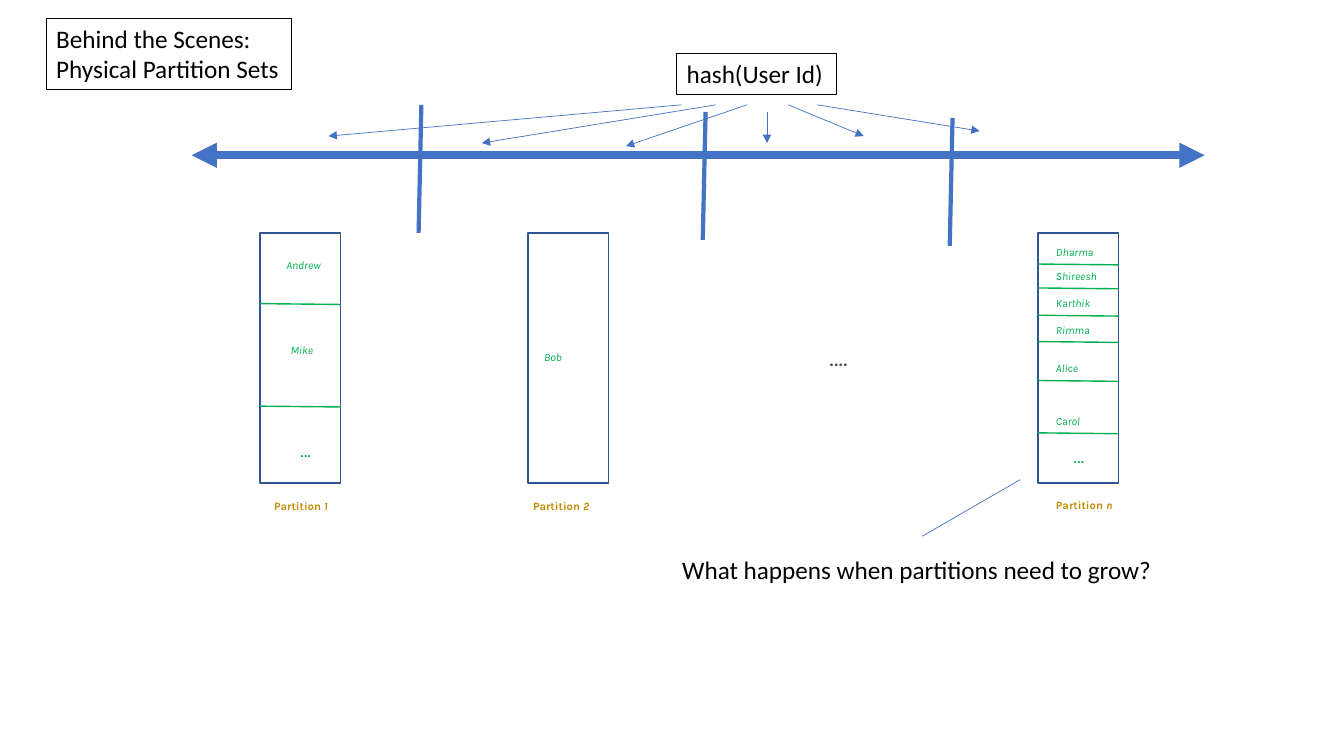
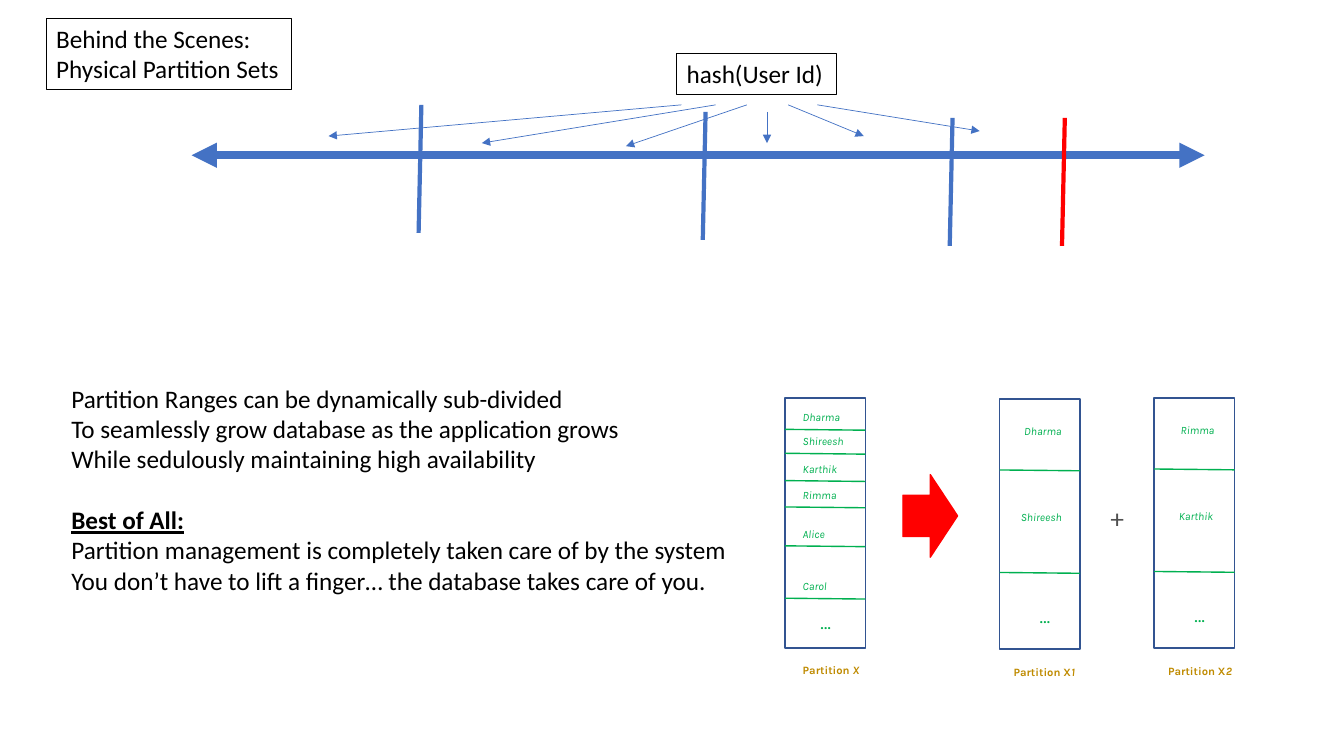
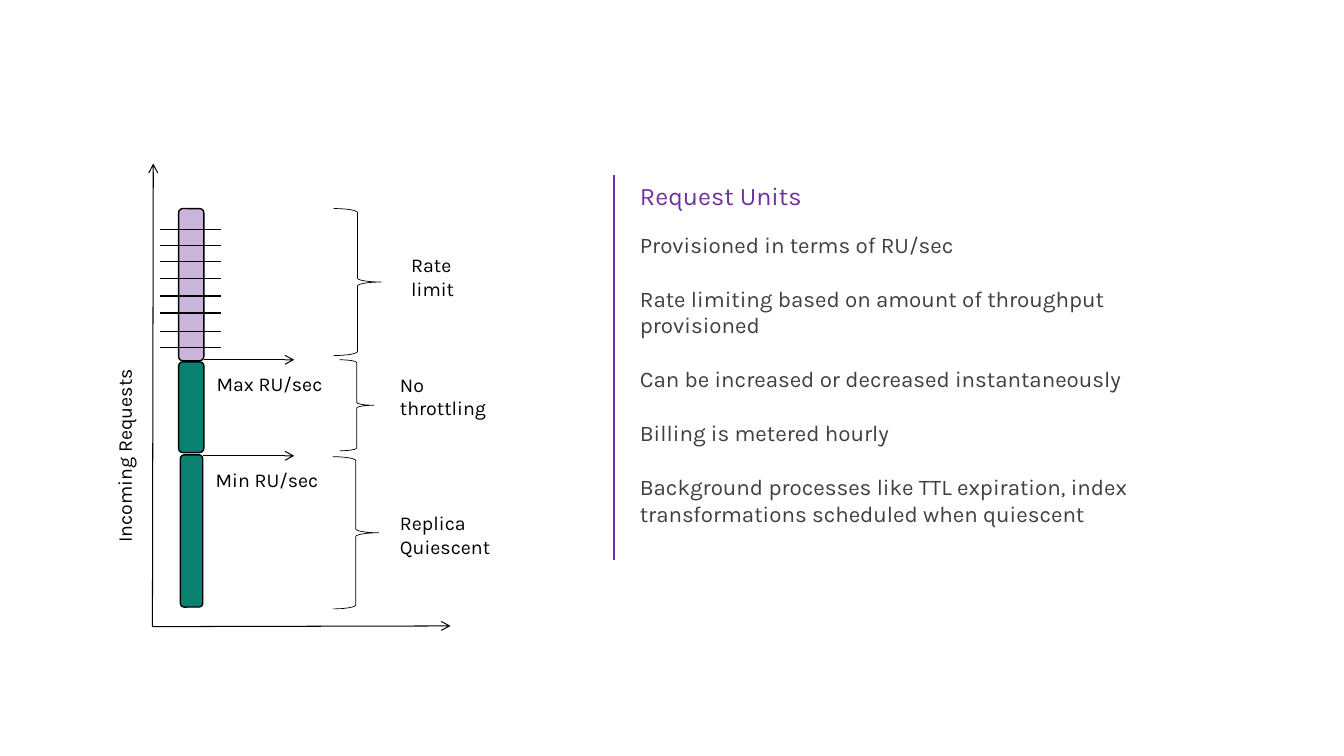
from lxml import etree
from pptx import Presentation
from pptx.dml.color import RGBColor
from pptx.enum.shapes import MSO_CONNECTOR, MSO_SHAPE
from pptx.enum.text import MSO_ANCHOR, PP_ALIGN
from pptx.oxml.ns import qn
from pptx.util import Pt

STRAIGHT = MSO_CONNECTOR.STRAIGHT
RECTANGLE = MSO_SHAPE.RECTANGLE
ROUNDED = MSO_SHAPE.ROUNDED_RECTANGLE
RIGHT_ARROW = MSO_SHAPE.RIGHT_ARROW
RIGHT_BRACE = MSO_SHAPE.RIGHT_BRACE
LEFT = PP_ALIGN.LEFT
CENTER = PP_ALIGN.CENTER
TOP = MSO_ANCHOR.TOP

COLORS = {
    "black": "000000", "white": "FFFFFF", "blue": "4472C4", "navy": "325491",
    "green": "00B050", "gold": "BF8B00", "gray": "505050", "charcoal": "404040",
    "red": "FF0000", "purple": "7030A0", "lilac": "CBB4DC", "teal": "0B8172",
}

STYLES = {
    "body": ("Calibri", 18, "black", False, False, False),
    "emphasis": ("Calibri", 18, "black", True, False, True),
    "symbol": ("Karla", 18, "gray", False, False, False),
    "name": ("Karla", 8, "green", False, True, False),
    "more": ("Karla", 14, "green", False, False, False),
    "label": ("Karla", 8, "gold", True, False, False),
    "index": ("Karla", 8, "gold", True, True, False),
    "heading": ("Karla", 18, "purple", False, False, False),
    "point": ("Karla", 16, "charcoal", False, False, False),
    "chart": ("Karla", 14, "black", False, False, False),
}

COLUMN_WIDTH, COLUMN_HEIGHT = 57.5, 178.6
NAME_WIDTH, NAME_HEIGHT = 64.8, 17.3
WIDE_NAME = 71.3


def color(name):
    return RGBColor.from_string(COLORS[name])


class Deck:
    def __init__(self):
        self.deck = Presentation()
        self.deck.slide_width, self.deck.slide_height = Pt(960), Pt(540)
        self.page = None

    def new_page(self):
        self.page = self.deck.slides.add_slide(self.deck.slide_layouts[6])

    def text(self, area, lines, style, align=LEFT, wrap=True, framed=False, gaps=None, turn=0):
        box = self.page.shapes.add_textbox(*map(Pt, area))
        box.rotation = turn
        if framed:
            box.line.color.rgb = color("black")
            box.line.width = Pt(0.75)
        frame = box.text_frame
        frame.word_wrap = wrap
        frame.vertical_anchor = TOP
        for number, line in enumerate(lines):
            para = frame.add_paragraph() if number else frame.paragraphs[0]
            para.alignment = align
            para.space_before = Pt((gaps or {}).get(number, 0))
            for words, look in [(line, style)] if isinstance(line, str) else line:
                span = para.add_run()
                span.text = words
                font = span.font
                font.name, size, ink, font.bold, font.italic, font.underline = STYLES[look]
                font.size = Pt(size)
                font.color.rgb = color(ink)

    def shape(self, kind, area, fill, ink, width=1):
        shape = self.page.shapes.add_shape(kind, *map(Pt, area))
        shape.shadow.inherit = False
        if fill:
            shape.fill.solid()
            shape.fill.fore_color.rgb = color(fill)
        else:
            shape.fill.background()
        shape.line.color.rgb = color(ink)
        shape.line.width = Pt(width)

    def line(self, start, end, ink, width, head=None, tail=None):
        line = self.page.shapes.add_connector(STRAIGHT, *map(Pt, (*start, *end)))
        line.line.color.rgb = color(ink)
        line.line.width = Pt(width)
        outline = line.line._get_or_add_ln()
        for tag, kind in (("a:headEnd", head), ("a:tailEnd", tail)):
            if kind:
                etree.SubElement(outline, qn(tag)).set("type", kind)
        etree.SubElement(line._element.spPr, qn("a:effectLst"))

    def column(self, x, y):
        self.shape(RECTANGLE, (x, y, COLUMN_WIDTH, COLUMN_HEIGHT), "white", "navy")

    def divider(self, x, y):
        self.line((x, y), (x + COLUMN_WIDTH, y + 0.6), "green", 1)

    def name(self, x, y, name, align=LEFT, width=NAME_WIDTH):
        self.text((x, y, width, NAME_HEIGHT), [name], "name", align)

    def more(self, x, y):
        self.text((x, y, WIDE_NAME, 24.5), ["…"], "more", CENTER)

    def label(self, x, y, words, index):
        self.text((x, y, NAME_WIDTH, NAME_HEIGHT), [[(words, "label"), (index, "index")]], "label")

    def full_partition(self, x, y, index):
        self.column(x, y)
        names = ("Dharma", "Shireesh", "Karthik", "Rimma", "Alice", "Carol")
        for name, top in zip(names, (5.4, 22.5, 42, 60.8, 88.6, 126)):
            self.name(x + 5.6, y + top, name)
            self.divider(x, y + top + 16.9)
        self.more(x - 6.5, y + 147.6)
        self.label(x + 5.6, y + 185.8, "Partition ", index)

    def light_partition(self, x, y, names, words, index):
        self.column(x, y)
        self.name(x - 1.4, y + 14.8, names[0], CENTER)
        self.divider(x, y + 50.6)
        self.name(x - 5.8, y + 75.6, names[1], CENTER, WIDE_NAME)
        self.divider(x, y + 123.8)
        self.more(x - 3.2, y + 142.8)
        self.label(x + 2.9, y + 186.7, words, index)

    def boundary(self, x, y, ink="blue"):
        self.line((x, y), (x - 2, y + 91.4), ink, 3)

    def hash_range(self):
        self.text((33.1, 13, 175, 51), ["Behind the Scenes:", "Physical Partition Sets"],
                  "body", wrap=False, framed=True)
        self.text((483.4, 38.2, 114.4, 29.1), ["hash(User Id)"], "body", wrap=False, framed=True)
        self.line((136.8, 110.9), (860.4, 110.9), "blue", 6, "triangle", "triangle")
        for start, end in (
            ((486.7, 74.9), (234.7, 97.2)), ((511.2, 74.9), (344.2, 102.2)),
            ((533.5, 74.9), (447.1, 104.4)), ((547.9, 79.9), (547.9, 102.2)),
            ((563, 74.9), (617, 97.2)), ((583.9, 74.9), (699.8, 93.6)),
        ):
            self.line(start, end, "blue", 0.5, tail="triangle")
        for x, y in ((301, 74.9), (504, 79.9), (680.4, 84.2)):
            self.boundary(x, y)


def partition_sets(deck):
    deck.new_page()
    deck.hash_range()
    top = 166.3
    deck.light_partition(185.8, top, ("Andrew", "Mike"), "Partition ", "1")
    deck.column(377.3, top)
    deck.name(381.6, 247, "Bob")
    deck.label(373.7, 352.8, "Partition ", "2")
    deck.text((585.4, 240.5, 82, 29), ["…."], "symbol")
    deck.full_partition(741.6, top, "n")
    deck.text((480.2, 392.4, 367, 29), ["What happens when partitions need to grow?"], "body")
    deck.line((658.8, 383), (728.6, 342.7), "blue", 0.5)


def partition_split(deck):
    deck.new_page()
    deck.hash_range()
    deck.boundary(760.6, 84.2, "red")
    deck.text((43.9, 270, 488, 181.4), [
        "Partition Ranges can be dynamically sub-divided",
        "To seamlessly grow database as the application grows",
        "While sedulously maintaining high availability",
        [("Best of All:", "emphasis")],
        "Partition management is completely taken care of by the system",
        "You don’t have to lift a finger… the database takes care of you.",
    ], "body", gaps={3: 22})
    deck.full_partition(560.7, 284.4, "X")
    deck.shape(RIGHT_ARROW, (645, 339, 39, 59), "red", "red")
    deck.light_partition(714, 285.1, ("Dharma", "Shireesh"), "Partition X", "1")
    deck.text((786.2, 354.2, 82, 29), ["+"], "symbol")
    deck.light_partition(824.4, 284.4, ("Rimma", "Karthik"), "Partition X", "2")


def request_units(deck):
    deck.new_page()
    deck.line((438.5, 125.3), (438.5, 400.3), "purple", 1)
    deck.text((450, 125.3, 337, 29), ["Request Units"], "heading")
    points = [
        "Provisioned in terms of RU/sec",
        "Rate limiting based on amount of throughput provisioned",
        "Can be increased or decreased instantaneously",
        "Billing is metered hourly",
        "Background processes like TTL expiration, index transformations scheduled when quiescent",
    ]
    deck.text((450, 161.3, 427.7, 240), points, "point",
              gaps={number: 19.3 for number in range(1, len(points))})

    for x, y, width, height, fill in (
        (127.6, 258.5, 18, 64.8, "teal"), (128.9, 324.9, 16, 108.7, "teal"),
        (127.6, 149, 18, 108.7, "lilac"),
    ):
        deck.shape(ROUNDED, (x, y, width, height), fill, "black")
    for start, end in (
        ((146, 257), (210.2, 257)), ((144.7, 325.6), (210.2, 325.6)),
        ((108.9, 447.6), (109.5, 116.8)), ((108.9, 447.6), (321.8, 447.1)),
    ):
        deck.line(start, end, "black", 0.75, tail="arrow")
    for y in (164.1, 175.2, 187, 198.9, 211.5, 223.7, 236.9, 248.2):
        deck.line((114.3, y), (157.7, y), "black", 1)
    for area in ((238.3, 149, 34, 105), (242.6, 257, 24.5, 65), (237.6, 326.2, 33, 108.7)):
        deck.shape(RIGHT_BRACE, area, None, "black", 0.5)

    for area, lines in (
        ((147.6, 262.3, 123.8, 28), ["Max RU/sec"]),
        ((146.9, 330.5, 123.8, 28), ["Min RU/sec"]),
        ((286.6, 177.3, 70, 48.2), ["Rate", "limit"]),
        ((278.6, 262.8, 102.2, 48.2), ["No", "throttling"]),
        ((278.6, 361.6, 108, 48.2), ["Replica", "Quiescent"]),
    ):
        deck.text(area, lines, "chart")
    deck.text((-2.2, 288.7, 185, 27.4), ["Incoming Requests"], "chart", turn=270)


def main():
    deck = Deck()
    partition_sets(deck)
    partition_split(deck)
    request_units(deck)
    deck.deck.save("out.pptx")


if __name__ == "__main__":
    main()
